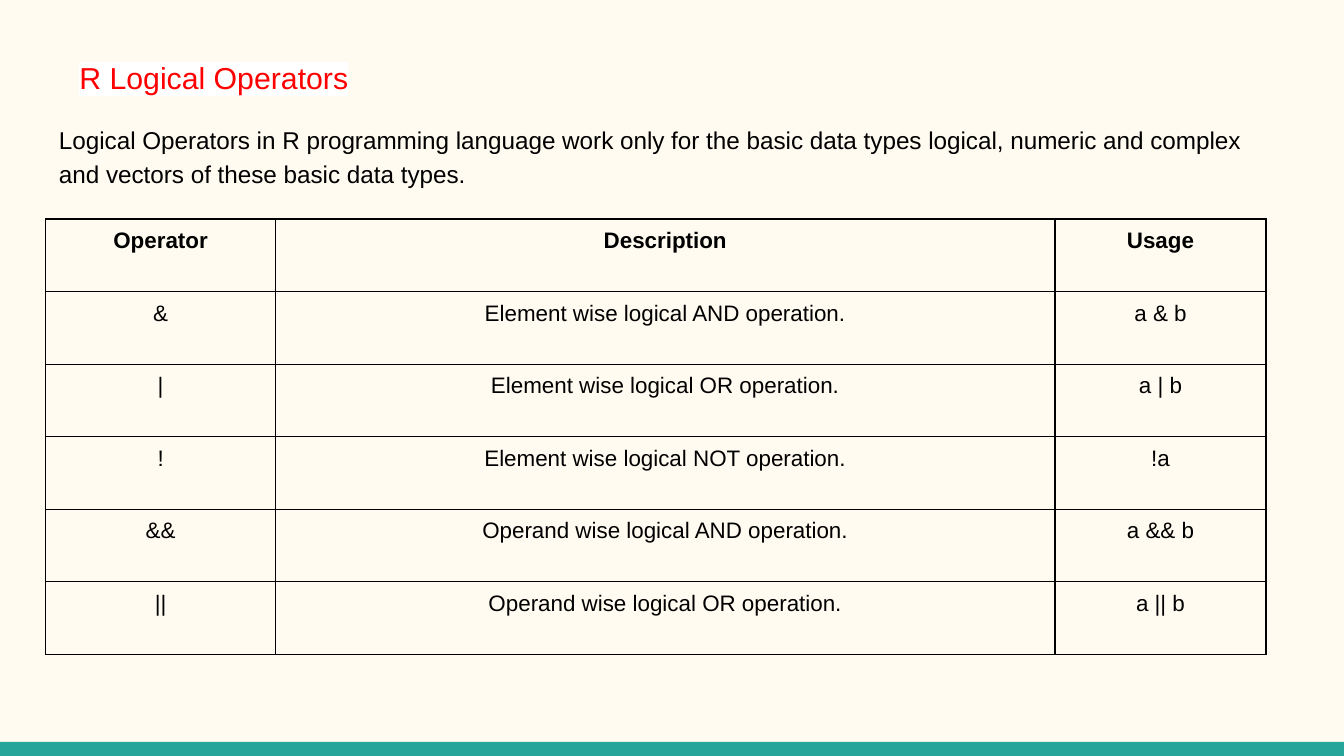
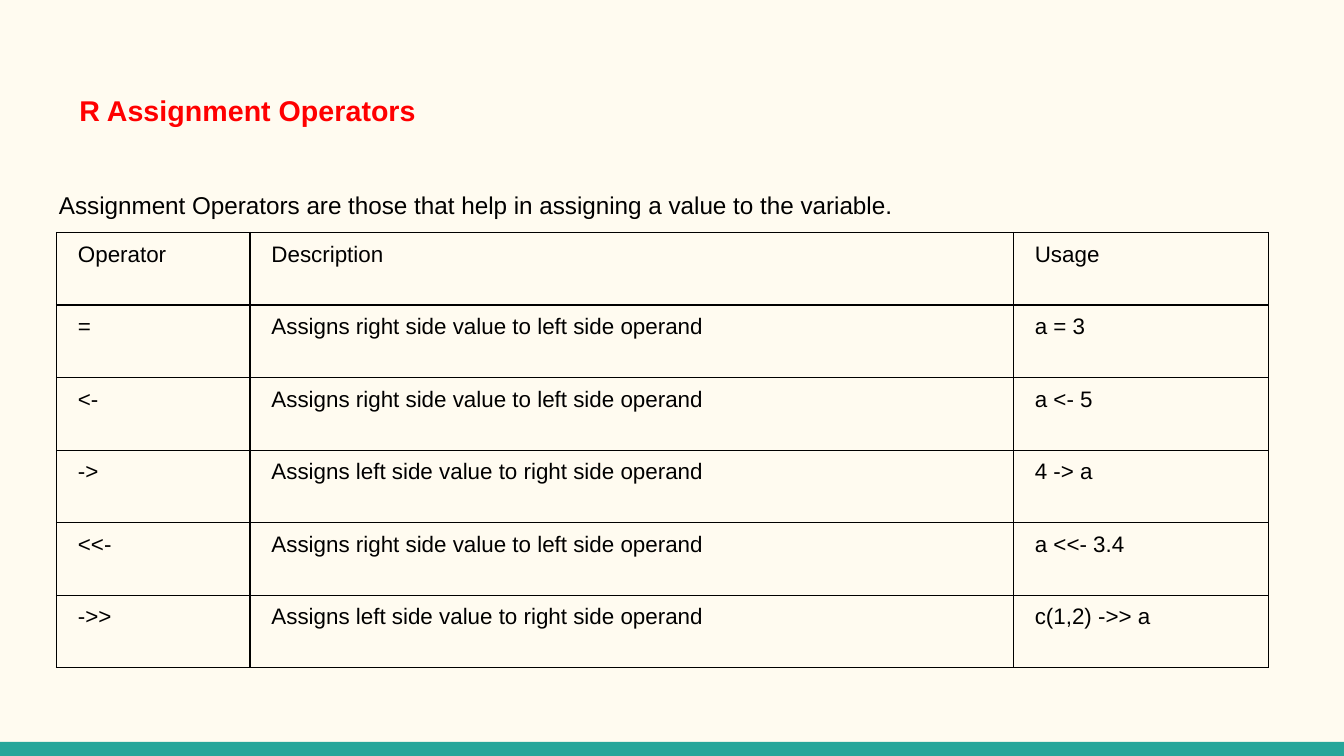
from lxml import etree
from pptx import Presentation
from pptx.dml.color import RGBColor
from pptx.enum import shapes, text
from pptx.oxml.ns import qn
from pptx.util import Inches, Pt

CREAM = RGBColor(0xFF, 0xFB, 0xF0)
TEAL = RGBColor(0x26, 0xA6, 0x9A)
RED = RGBColor(0xFF, 0x00, 0x00)
BLACK = RGBColor(0x00, 0x00, 0x00)
WHITE = RGBColor(0xFF, 0xFF, 0xFF)
FONT = "Arial"
SLIDE_W = 10
SLIDE_H = SLIDE_W * 9 / 16
BAND_TOP, BAND_H = 5.52, 0.11
LEFT, TEXT_W = 0.34, 9.32
TITLE_H, ROW_H = 0.67, 0.54
HEADINGS = ("Operator", "Description", "Usage")
RIGHT_TO_LEFT = "Assigns right side value to left side operand"
LEFT_TO_RIGHT = "Assigns left side value to right side operand"

SLIDES = [
    {
        "title": "R Logical Operators",
        "title_top": 0.23, "title_size": 16.2, "title_before": 18,
        "title_bold": False, "highlight": WHITE,
        "intro": "Logical Operators in R programming language work only for the "
                 "basic data types logical, numeric and complex and vectors of "
                 "these basic data types.",
        "intro_top": 0.8, "intro_height": 2.64,
        "table_at": (0.34, 1.63), "columns": (1.71, 5.8, 1.57),
        "align": text.PP_ALIGN.CENTER, "bold_headings": True,
        "operators": [
            ("&", "Element wise logical AND operation.", "a & b"),
            ("|", "Element wise logical OR operation.", "a | b"),
            ("!", "Element wise logical NOT operation.", "!a"),
            ("&&", "Operand wise logical AND operation.", "a && b"),
            ("||", "Operand wise logical OR operation.", "a || b"),
        ],
    },
    {
        "title": "R Assignment Operators",
        "title_top": 0.49, "title_size": 15.3, "title_before": 17,
        "title_bold": True, "highlight": None,
        "intro": "Assignment Operators are those that help in assigning a value "
                 "to the variable.",
        "intro_top": 1.28, "intro_height": 3.72,
        "table_at": (0.42, 1.73), "columns": (1.44, 5.68, 1.9),
        "align": text.PP_ALIGN.LEFT, "bold_headings": False,
        "operators": [
            ("=", RIGHT_TO_LEFT, "a = 3"),
            ("<-", RIGHT_TO_LEFT, "a <- 5"),
            ("->", LEFT_TO_RIGHT, "4 -> a"),
            ("<<-", RIGHT_TO_LEFT, "a <<- 3.4"),
            ("->>", LEFT_TO_RIGHT, "c(1,2) ->> a"),
        ],
    },
]


def style(paragraph, size, color, bold=False, align=text.PP_ALIGN.LEFT):
    font = paragraph.font
    font.name, font.size, font.bold = FONT, Pt(size), bold
    font.color.rgb = color
    paragraph.alignment = align


def set_margins(box, across, down):
    box.margin_left = box.margin_right = Inches(across)
    box.margin_top = box.margin_bottom = Inches(down)


def set_frame(frame):
    frame.word_wrap = True
    frame.auto_size = text.MSO_AUTO_SIZE.NONE
    frame.vertical_anchor = text.MSO_ANCHOR.TOP
    set_margins(frame, 0.1, 0.1)


def add_color(parent, color):
    etree.SubElement(parent, qn("a:srgbClr"), val=str(color))


def add_borders(cell):
    properties = cell._tc.get_or_add_tcPr()
    for side in ("a:lnL", "a:lnR", "a:lnT", "a:lnB"):
        line = etree.SubElement(properties, qn(side), w=str(Pt(0.75)))
        add_color(etree.SubElement(line, qn("a:solidFill")), BLACK)


def add_title(slide, content):
    title = slide.shapes.title
    title.left, title.top = Inches(LEFT), Inches(content["title_top"])
    title.width, title.height = Inches(TEXT_W), Inches(TITLE_H)
    title.text_frame.text = content["title"]
    set_frame(title.text_frame)
    paragraph = title.text_frame.paragraphs[0]
    style(paragraph, content["title_size"], RED, content["title_bold"])
    paragraph.line_spacing = 1.4
    paragraph.space_before = Pt(content["title_before"])
    indent = paragraph._p.get_or_add_pPr()
    indent.set("marL", str(Inches(0.15)))
    indent.set("indent", "0")
    if content["highlight"] is not None:
        run_properties = paragraph.runs[0]._r.get_or_add_rPr()
        add_color(etree.SubElement(run_properties, qn("a:highlight")),
                  content["highlight"])


def add_intro(slide, content):
    intro = slide.shapes.add_textbox(
        Inches(LEFT), Inches(content["intro_top"]),
        Inches(TEXT_W), Inches(content["intro_height"]))
    intro.text_frame.text = content["intro"]
    set_frame(intro.text_frame)
    paragraph = intro.text_frame.paragraphs[0]
    style(paragraph, 13, BLACK)
    paragraph.line_spacing = 1.15
    paragraph.space_after = Pt(12)


def add_operators(slide, content):
    rows = [HEADINGS, *content["operators"]]
    widths = content["columns"]
    left, top = content["table_at"]
    table = slide.shapes.add_table(
        len(rows), len(widths), Inches(left), Inches(top),
        Inches(sum(widths)), Inches(ROW_H * len(rows))).table
    table.first_row = table.horz_banding = False
    for column, width in zip(table.columns, widths):
        column.width = Inches(width)
    for r, row in enumerate(rows):
        table.rows[r].height = Inches(ROW_H)
        for c, words in enumerate(row):
            cell = table.cell(r, c)
            cell.text = words
            set_margins(cell, 0.16, 0.07)
            add_borders(cell)
            cell.fill.background()
            paragraph = cell.text_frame.paragraphs[0]
            style(paragraph, 12, BLACK, r == 0 and content["bold_headings"],
                  content["align"])
            paragraph.space_after = Pt(19)


def set_master(master, slide):
    """Give the master its background and the bottom band, drawn by way of a slide."""
    master.background.fill.solid()
    master.background.fill.fore_color.rgb = CREAM
    band = slide.shapes.add_shape(
        shapes.MSO_SHAPE.RECTANGLE, 0, Inches(BAND_TOP),
        Inches(SLIDE_W), Inches(BAND_H))
    band.shadow.inherit = False
    band.fill.solid()
    band.fill.fore_color.rgb = TEAL
    band.line.fill.background()
    master.shapes.element.append(band.element)


def main():
    deck = Presentation()
    deck.slide_width, deck.slide_height = Inches(SLIDE_W), Inches(SLIDE_H)
    title_only = deck.slide_layouts.get_by_name("Title Only")
    for content in SLIDES:
        slide = deck.slides.add_slide(title_only)
        add_title(slide, content)
        add_intro(slide, content)
        add_operators(slide, content)
    set_master(deck.slide_master, deck.slides[0])
    deck.save("out.pptx")


if __name__ == "__main__":
    main()
